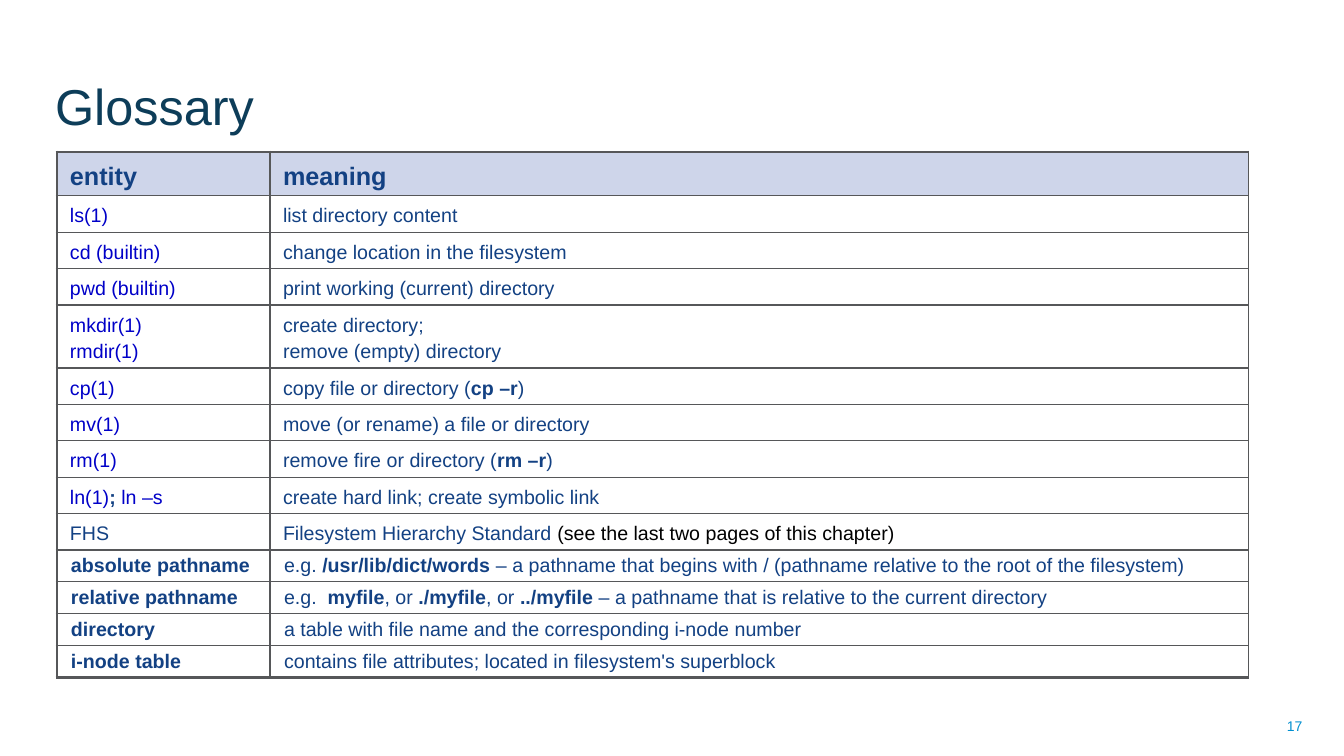
from dataclasses import dataclass
from lxml.etree import SubElement
from pptx import Presentation
from pptx.dml.color import RGBColor
from pptx.enum.text import MSO_ANCHOR, MSO_AUTO_SIZE, PP_ALIGN
from pptx.oxml.ns import qn
from pptx.util import Inches, Pt

PX_PER_INCH = 100.8


def px(n):
    return Inches(n / PX_PER_INCH)


@dataclass(frozen=True)
class Theme:
    font: str = "Arial"
    title: str = "0D3D59"
    body: str = "134183"
    command: str = "0000C8"
    note: str = "000000"
    number: str = "008FD0"
    header_fill: str = "CED5EA"
    border: str = "565759"
    title_size: int = 36
    header_size: int = 18
    body_size: int = 14
    number_size: int = 10
    thin: float = 1
    thick: float = 2.25


class Deck:
    def __init__(self, theme, width, height):
        self.theme = theme
        self.prs = Presentation()
        self.prs.slide_width, self.prs.slide_height = width, height
        self.slide = self.prs.slides.add_slide(self.prs.slide_layouts[5])

    def apply(self, obj, values):
        for name, value in values.items():
            setattr(obj, name, value)

    def run(self, p, text, size, color, bold=False):
        for i, line in enumerate(text.split("\n")):
            if i:
                p.add_line_break()
            r = p.add_run()
            r.text = line
            self.apply(r.font, dict(name=self.theme.font, size=Pt(size), bold=bold))
            r.font.color.rgb = RGBColor.from_string(color)

    def frame(self, sp, text, size, color, anchor, align):
        tf = sp.text_frame
        self.apply(tf, dict(word_wrap=True, auto_size=MSO_AUTO_SIZE.NONE, vertical_anchor=anchor,
                            margin_left=px(10), margin_right=px(10),
                            margin_top=px(5), margin_bottom=px(5)))
        p = tf.paragraphs[0]
        p.alignment = align
        self.run(p, text, size, color)

    def title(self, text, left, top, width, height):
        sp = self.slide.shapes.title
        self.apply(sp, dict(left=px(left), top=px(top), width=px(width), height=px(height)))
        self.frame(sp, text, self.theme.title_size, self.theme.title,
                   MSO_ANCHOR.BOTTOM, PP_ALIGN.LEFT)

    def page_number(self, text, left, top, width, height):
        sp = self.slide.shapes.add_textbox(px(left), px(top), px(width), px(height))
        self.frame(sp, text, self.theme.number_size, self.theme.number,
                   MSO_ANCHOR.MIDDLE, PP_ALIGN.RIGHT)

    def borders(self, cell, widths):
        tc_pr = cell._tc.get_or_add_tcPr()
        for side, width in widths.items():
            ln = SubElement(tc_pr, qn(f"a:ln{side}"), w=str(Pt(width)))
            fill = SubElement(ln, qn("a:solidFill"))
            SubElement(fill, qn("a:srgbClr"), val=self.theme.border)

    def cell(self, cell, segments, header, spacing, inset):
        self.apply(cell, dict(margin_left=px(inset), margin_right=px(inset),
                              margin_top=px(5), margin_bottom=px(5)))
        if header:
            cell.fill.solid()
            cell.fill.fore_color.rgb = RGBColor.from_string(self.theme.header_fill)
        else:
            cell.fill.background()
        p = cell.text_frame.paragraphs[0]
        p.line_spacing = spacing
        size = self.theme.header_size if header else self.theme.body_size
        for text, color, bold in segments:
            self.run(p, text, size, color, bold)

    def table(self, rows, left, top, col_widths, row_heights, spaced_rows):
        table = self.slide.shapes.add_table(
            len(rows), len(col_widths), px(left), px(top),
            px(sum(col_widths)), px(sum(row_heights))).table
        self.apply(table, dict(first_row=False, horz_banding=False))
        for col, width in zip(table.columns, col_widths):
            col.width = px(width)
        thin, thick = self.theme.thin, self.theme.thick
        for i, row in enumerate(rows):
            table.rows[i].height = px(row_heights[i])
            spacing, inset = (1.2, 13) if i < spaced_rows else (1.0, 14)
            for j, segments in enumerate(row):
                cell = table.cell(i, j)
                self.borders(cell, dict(L=thin if j else thick, R=thin,
                                        T=thin if i else thick,
                                        B=thick if i == len(rows) - 1 else thin))
                self.cell(cell, segments, i == 0, spacing, inset)


theme = Theme()


def plain(text):
    return text, theme.body, False


def bold(text):
    return text, theme.body, True


def command(text):
    return text, theme.command, False


glossary = [
    ([bold("entity")], [bold("meaning")]),
    ([command("ls(1)")], [plain("list directory content")]),
    ([command("cd (builtin)")], [plain("change location in the filesystem")]),
    ([command("pwd (builtin)")], [plain("print working (current) directory")]),
    ([command("mkdir(1)\nrmdir(1)")], [plain("create directory; \nremove (empty) directory")]),
    ([command("cp(1) ")], [plain("copy file or directory ("), bold("cp –r"), plain(")")]),
    ([command("mv(1)")], [plain("move (or rename) a file or directory")]),
    ([command("rm(1)")], [plain("remove fire or directory ("), bold("rm –r"), plain(")")]),
    ([command("ln(1)"), bold("; "), command("ln –s")],
     [plain("create hard link; create symbolic link")]),
    ([plain("FHS")], [plain("Filesystem Hierarchy Standard "),
                      ("(see the last two pages of this chapter)", theme.note, False)]),
    ([bold("absolute pathname")],
     [plain("e.g. "), bold("/usr/lib/dict/words"),
      plain(" – a pathname that begins with / "
            "(pathname relative to the root of the filesystem)")]),
    ([bold("relative pathname")],
     [plain("e.g.  "), bold("myfile"), plain(", or "), bold("./myfile"), plain(", or "),
      bold("../myfile"), plain(" – a pathname that is relative to the current directory")]),
    ([bold("directory")], [plain("a table with file name and the corresponding i-node number")]),
    ([bold("i-node table")],
     [plain("contains file attributes; located in filesystem's superblock")]),
]

deck = Deck(theme, Inches(13.33), Inches(7.5))
deck.page_number("17", 999, 706, 313, 40)
deck.title("Glossary", 45, 14, 1006, 127)
deck.table(glossary, 57, 152, [213, 978], [43] + [36] * 3 + [63] + [36] * 5 + [32] * 4,
           spaced_rows=10)
deck.prs.save("out.pptx")
